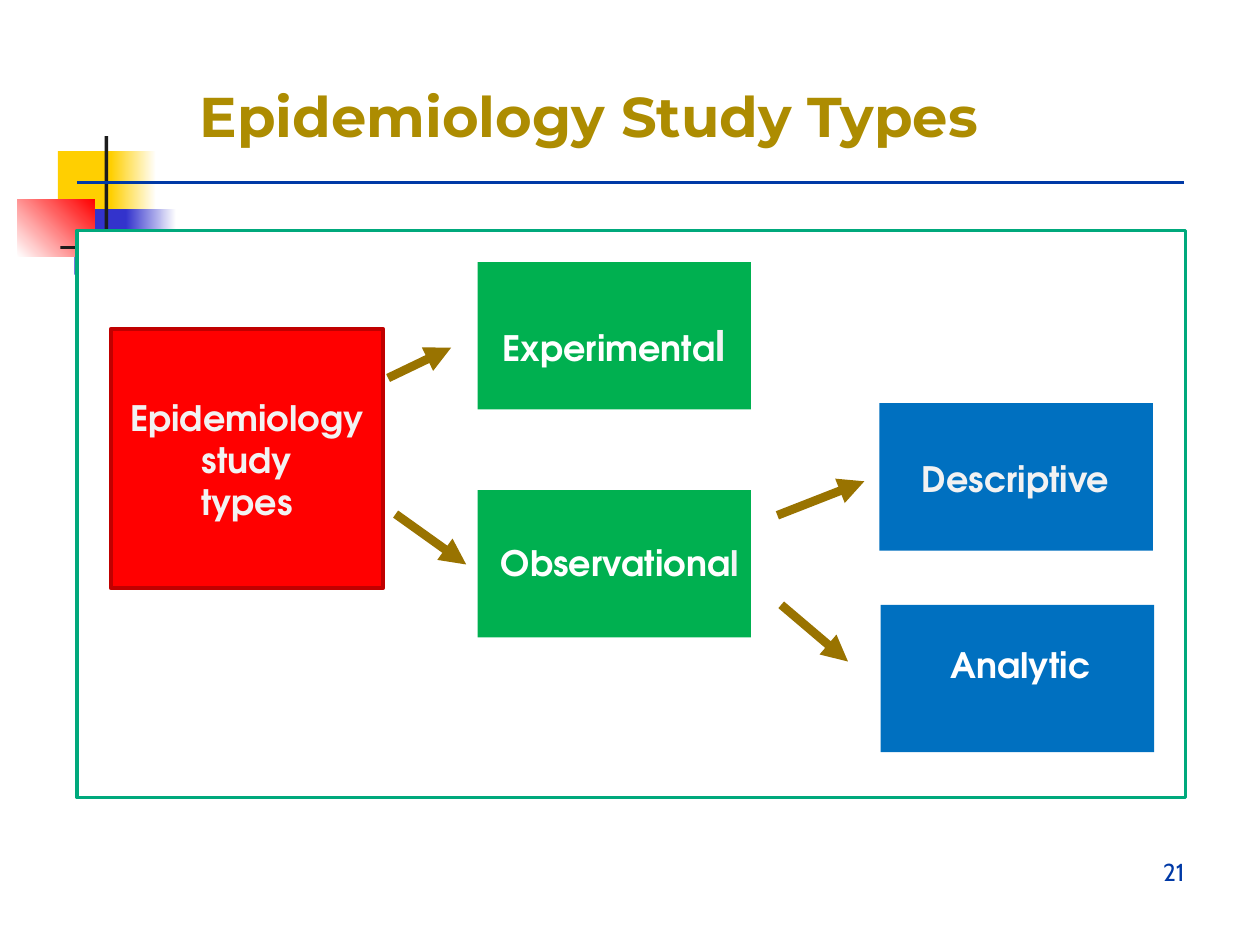
from pptx import Presentation
from pptx.dml.color import RGBColor
from pptx.enum.shapes import MSO_CONNECTOR as Connector, MSO_SHAPE as Shape
from pptx.enum.text import PP_ALIGN as Align
from pptx.oxml.ns import qn
from pptx.util import Inches, Pt
from lxml.etree import SubElement

COLORS = {
    "white": "FFFFFF", "pale": "F2F2F2", "black": "1C1C1C",
    "yellow": "FFCF01", "indigo": "3333CC", "red": "FF0000",
    "dark_red": "C00000", "teal": "00A97C", "gold": "AD8C01",
    "navy": "0039A6", "green": "00B050", "blue": "0070C0",
    "bronze": "997300",
}
LABEL_FONT = "TeX Gyre Adventor"


def rgb(name):
    return RGBColor.from_string(COLORS[name])


def add_run(paragraph, text, font=LABEL_FONT, size=20, color="white", bold=True):
    run = paragraph.add_run()
    run.text = text
    run.font.name = font
    run.font.size = Pt(size)
    run.font.bold = bold
    run.font.color.rgb = rgb(color)


class StudySlide:
    def __init__(self, slide):
        self.shapes = slide.shapes

    def box(self, left, top, width, height, fill, line=None, weight=2, angle=0):
        """A rectangle; a pair of colours as fill makes a gradient."""
        box = self.shapes.add_shape(Shape.RECTANGLE, *map(Inches, (left, top, width, height)))
        box.shadow.inherit = False
        if isinstance(fill, tuple):
            box.fill.gradient()
            box.fill.gradient_angle = angle
            for stop, name, position in zip(box.fill.gradient_stops, fill, (0, 1)):
                stop.color.rgb = rgb(name)
                stop.position = position
        else:
            box.fill.solid()
            box.fill.fore_color.rgb = rgb(fill)
        if line:
            box.line.color.rgb = rgb(line)
            box.line.width = Pt(weight)
        else:
            box.line.fill.background()

    def text(self, left, top, width, height, paragraphs, align=Align.CENTER, **style):
        """Each paragraph is a list of (text, style changes) runs."""
        frame = self.shapes.add_textbox(*map(Inches, (left, top, width, height))).text_frame
        frame.word_wrap = True
        for index, runs in enumerate(paragraphs):
            paragraph = frame.add_paragraph() if index else frame.paragraphs[0]
            paragraph.alignment = align
            for words, changes in runs:
                add_run(paragraph, words, **{**style, **changes})

    def line(self, start, end, color, weight, arrow=False):
        line = self.shapes.add_connector(Connector.STRAIGHT, *map(Inches, (*start, *end)))
        line.line.color.rgb = rgb(color)
        line.line.width = Pt(weight)
        properties = line._element.spPr
        if arrow:
            SubElement(properties.find(qn("a:ln")), qn("a:tailEnd"), type="triangle")
        SubElement(properties, qn("a:effectLst"))


def main():
    deck = Presentation()
    deck.slide_width, deck.slide_height = Inches(10), Inches(7.5)
    page = StudySlide(deck.slides.add_slide(deck.slide_layouts[6]))

    # Corner ornament
    page.box(0.46, 1.2, 0.48, 0.52, "yellow")
    page.box(0.88, 1.2, 0.36, 0.52, ("yellow", "white"))
    page.box(0.59, 1.66, 0.46, 0.52, "indigo")
    page.box(1, 1.66, 0.4, 0.52, ("indigo", "white"))
    page.box(0.14, 1.58, 0.61, 0.46, ("white", "red"), angle=45)
    page.box(0.83, 1.08, 0.03, 1.15, "black")
    page.box(0.48, 1.95, 9, 0.03, ("black", "white"))

    # Diagram frame, title and rule
    page.box(0.61, 1.83, 8.8, 4.5, "white", line="teal")
    page.text(0.2, 0.6, 8.95, 0.64, [[("Epidemiology Study Types", {})]],
              font="Montserrat", size=32, color="gold")
    page.line((0.61, 1.45), (9.4, 1.45), "navy", 2)

    # Root of the tree
    page.box(0.88, 2.61, 2.16, 2.06, "red", line="dark_red", weight=2.25)
    page.text(0.89, 3.1, 2.14, 1.11,
              [[("Epidemiology study", {})], [("types", {})]], color="pale")

    # Branches: box position and fill, label position and runs
    pale = {"color": "pale"}
    branches = [
        (3.79, 2.08, "green", 3.8, 2.49,
         [("Experimenta", {}), ("l ", {"size": 24, **pale})]),
        (3.79, 3.89, "green", 3.8, 4.25, [("Observationa", {}), ("l", pale)]),
        (6.98, 3.2, "blue", 6.94, 3.58, [("Descriptive", pale)]),
        (6.99, 4.8, "blue", 6.98, 5.06, [("Analytic", {})]),
    ]
    for left, top, fill, label_left, label_top, runs in branches:
        page.box(left, top, 2.17, 1.17, fill)
        page.text(label_left, label_top, 2.24, 0.44, [runs])

    # Arrows between the levels
    for start, end in [
        ((3.08, 3), (3.58, 2.76)),
        ((3.14, 4.08), (3.7, 4.48)),
        ((6.17, 4.09), (6.86, 3.82)),
        ((6.2, 4.8), (6.73, 5.25)),
    ]:
        page.line(start, end, "bronze", 5, arrow=True)

    # Slide number
    page.text(7.17, 6.75, 2.33, 0.4, [[("21", {})]], align=Align.RIGHT,
              font="Cabin", size=14, color="navy", bold=False)

    deck.save("out.pptx")


if __name__ == "__main__":
    main()
